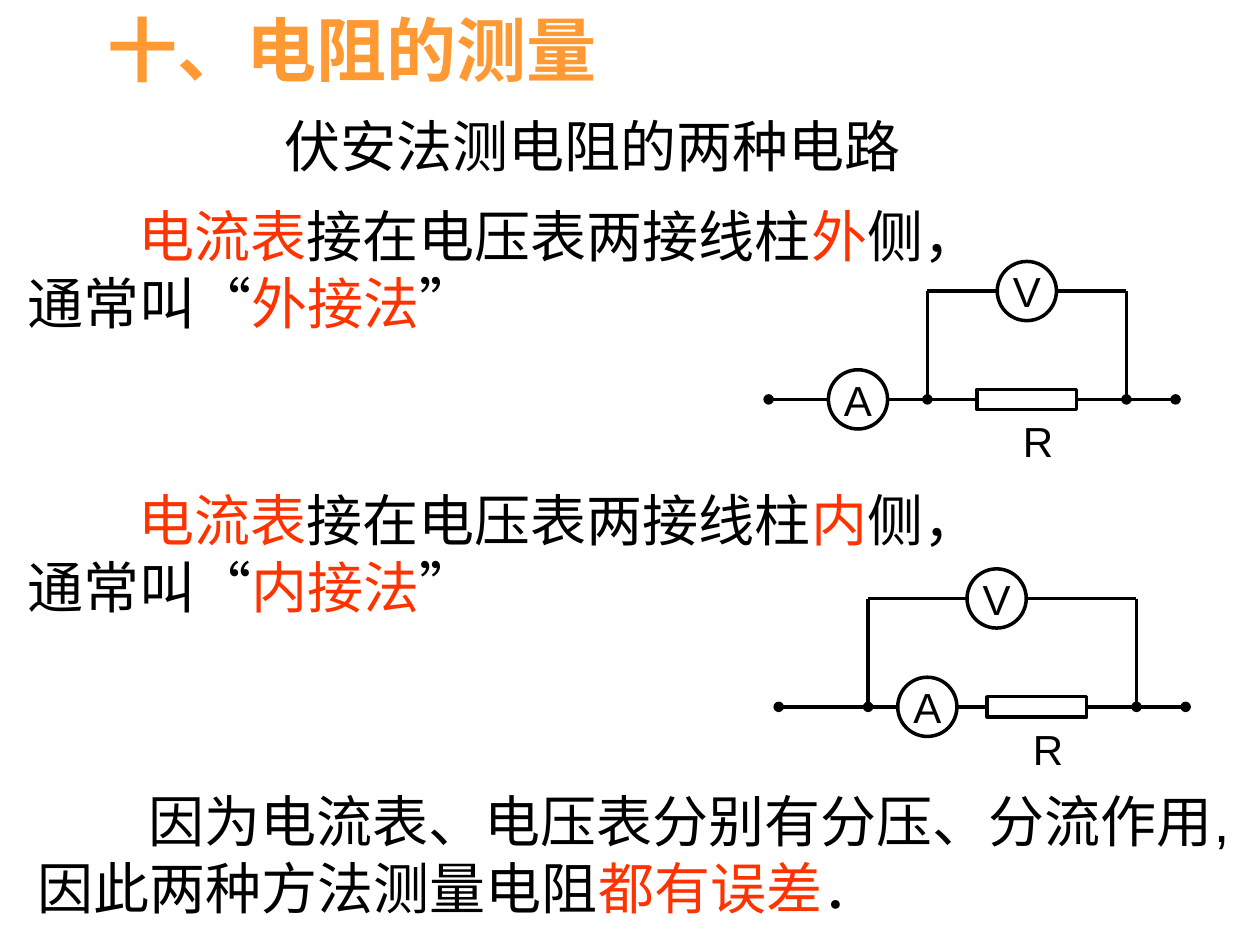
from dataclasses import dataclass

from lxml.etree import SubElement
from pptx import Presentation
from pptx.dml.color import RGBColor
from pptx.enum.shapes import MSO_CONNECTOR as Connector, MSO_SHAPE as Preset
from pptx.enum.text import MSO_ANCHOR as Anchor, MSO_AUTO_SIZE as AutoSize, PP_ALIGN as Align
from pptx.oxml.ns import qn
from pptx.util import Inches, Pt

COLORS = {"black": "000000", "white": "FFFFFF", "red": "FF3300", "orange": "FF9933"}
LATIN, CHINESE = "Arial", "Noto Sans CJK SC"
METER, RESISTOR_W, RESISTOR_H = 0.47, 0.79, 0.16
WIRE_LENGTH, BRIDGE_RISE = 3.23, 0.86
INDENT = 0.88


@dataclass
class Run:
    text: str
    color: str = "black"
    font: str = CHINESE


@dataclass
class TextBlock:
    left: float
    top: float
    width: float
    height: float
    runs: list[Run]
    indent: float = 0


@dataclass
class Circuit:
    left: float
    wire_y: float
    taps: tuple[float, float]
    ammeter_x: float
    voltmeter_x: float


def color(name: str) -> RGBColor:
    return RGBColor.from_string(COLORS[name])


def write_runs(para, runs: list[Run], size: float, bold: bool = False) -> None:
    for run in runs:
        span = para.add_run()
        span.text = run.text
        for name, value in {"name": run.font, "size": Pt(size), "bold": bold}.items():
            setattr(span.font, name, value)
        span.font.color.rgb = color(run.color)
        SubElement(span.font._element, qn("a:ea"), typeface=CHINESE)


def format_frame(frame, **values) -> None:
    for name, value in values.items():
        setattr(frame, name, value)


def place(shape, left: float, top: float, width: float, height: float) -> None:
    box = {"left": left, "top": top, "width": width, "height": height}
    for name, value in box.items():
        setattr(shape, name, Inches(value))


def add_block(page, block: TextBlock) -> None:
    box = page.shapes.add_textbox(0, 0, 0, 0)
    place(box, block.left, block.top, block.width, block.height)
    format_frame(box.text_frame, word_wrap=True, vertical_anchor=Anchor.MIDDLE)
    para = box.text_frame.paragraphs[0]
    if block.indent:
        para._p.get_or_add_pPr().set("indent", str(Inches(block.indent)))
    write_runs(para, block.runs, 32)


def add_wire(group, start: tuple[float, float], end: tuple[float, float],
             dots: tuple[str, ...] = ()) -> None:
    points = [Inches(value) for value in (*start, *end)]
    wire = group.shapes.add_connector(Connector.STRAIGHT, *points)
    wire.line.width = Pt(2)
    wire.line.color.rgb = color("black")
    for dot in dots:
        SubElement(wire.line._get_or_add_ln(), qn(f"a:{dot}"), type="oval")
    SubElement(wire._element.spPr, qn("a:effectLst"))


def add_part(group, preset, center: tuple[float, float], width: float, height: float,
             letter: str = "") -> None:
    x, y = center
    part = group.shapes.add_shape(preset, 0, 0, 0, 0)
    place(part, x - width / 2, y - height / 2, width, height)
    part.shadow.inherit = False
    part.fill.solid()
    part.fill.fore_color.rgb = color("white")
    part.line.color.rgb = color("black")
    part.line.width = Pt(2)
    if letter:
        format_frame(part.text_frame, word_wrap=False, vertical_anchor=Anchor.MIDDLE)
        para = part.text_frame.paragraphs[0]
        para.alignment = Align.CENTER
        write_runs(para, [Run(letter, font=LATIN)], 24)


def add_circuit(page, circuit: Circuit) -> None:
    group = page.shapes.add_group_shape()
    left, wire_y = circuit.left, circuit.wire_y
    bridge_y = wire_y - BRIDGE_RISE
    first, last = circuit.taps

    # Main wire and the voltmeter bridge
    add_wire(group, (left, wire_y), (left + WIRE_LENGTH, wire_y), ("headEnd", "tailEnd"))
    add_wire(group, (first, bridge_y), (last, bridge_y))
    for tap in circuit.taps:
        add_wire(group, (tap, bridge_y), (tap, wire_y), ("tailEnd",))

    # Resistor and meters
    resistor_x = left + 2.05
    add_part(group, Preset.RECTANGLE, (resistor_x, wire_y), RESISTOR_W, RESISTOR_H)
    add_part(group, Preset.OVAL, (circuit.ammeter_x, wire_y), METER, METER, "A")
    add_part(group, Preset.OVAL, (circuit.voltmeter_x, bridge_y), METER, METER, "V")

    # Resistor label
    label = group.shapes.add_textbox(0, 0, 0, 0)
    place(label, left + 1.92, wire_y + 0.08, 0.44, 0.5)
    format_frame(label.text_frame, word_wrap=False)
    write_runs(label.text_frame.paragraphs[0], [Run("R", font=LATIN)], 24)


def method_block(top: float, side: str) -> TextBlock:
    return TextBlock(0.12, top, 7.8, 1.17, [
        Run("电流表", "red"), Run("接在电压表两接线柱"), Run(side, "red"),
        Run("侧，通常叫"), Run("“", font=LATIN), Run(f"{side}接法", "red"),
        Run("”", font=LATIN)], INDENT)


BLOCKS = [
    TextBlock(2.16, 0.84, 5.83, 0.63, [Run("伏安法测电阻的两种电路")]),
    method_block(1.55, "外"),
    method_block(3.8, "内"),
    TextBlock(0.2, 6.19, 9.65, 1.17, [
        Run("因为电流表、电压表分别有分压、分流作用,因此两种方法测量电阻", font=LATIN),
        Run("都有误差", "red", LATIN), Run("．", font=LATIN)], INDENT),
]
CIRCUITS = [
    Circuit(6.1, 3.17, (7.36, 8.94), 6.81, 8.15),
    Circuit(6.18, 5.61, (6.89, 9.02), 7.36, 7.91),
]


def main() -> None:
    deck = Presentation()
    deck.slide_width, deck.slide_height = Inches(10), Inches(7.5)
    page = deck.slides.add_slide(deck.slide_layouts[5])

    # Title
    title = page.shapes.title
    place(title, 0.75, 0, 4.17, 0.77)
    format_frame(title.text_frame, word_wrap=True, auto_size=AutoSize.NONE,
                 vertical_anchor=Anchor.MIDDLE)
    heading = title.text_frame.paragraphs[0]
    heading.alignment = Align.LEFT
    write_runs(heading, [Run("十、电阻的测量", "orange")], 40, bold=True)

    # Explanations and circuits
    for block in BLOCKS:
        add_block(page, block)
    for circuit in CIRCUITS:
        add_circuit(page, circuit)
    deck.save("out.pptx")


if __name__ == "__main__":
    main()
